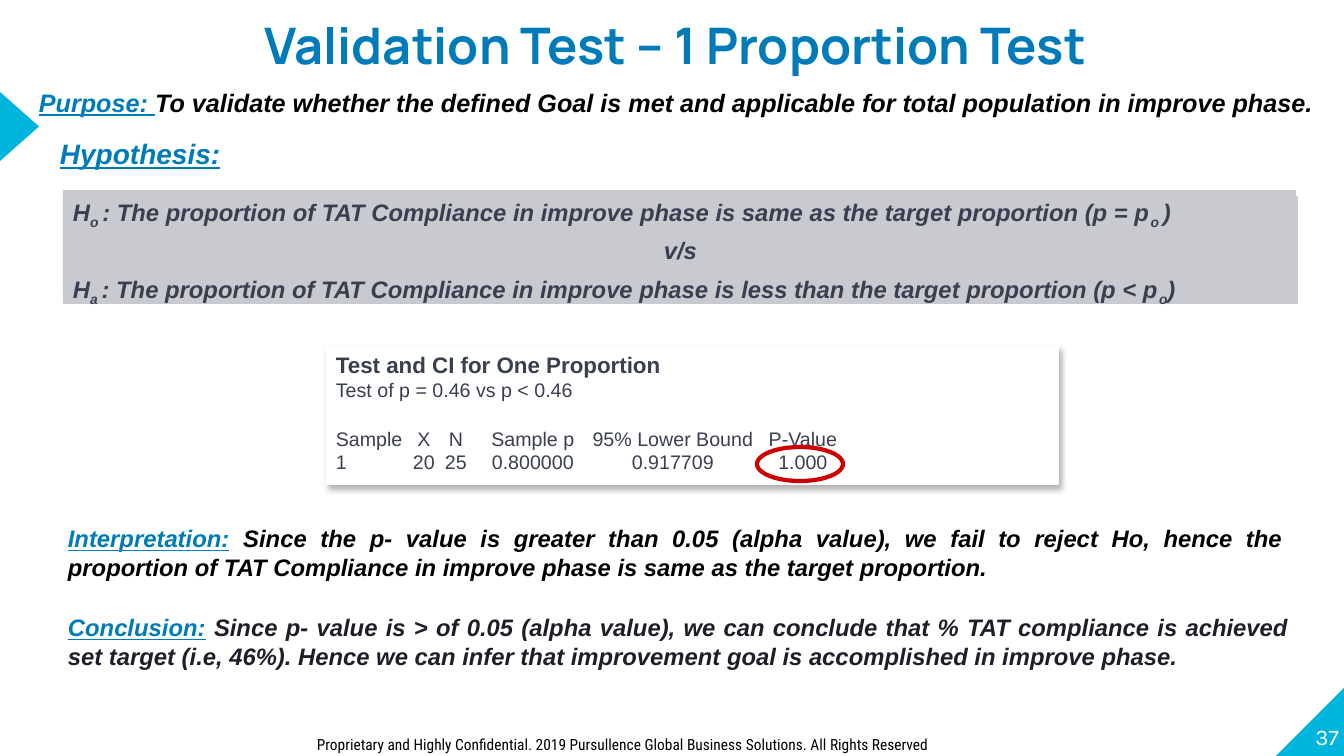
from lxml import etree
from pptx import Presentation
from pptx.dml.color import RGBColor
from pptx.enum.shapes import MSO_SHAPE
from pptx.enum.text import MSO_ANCHOR, MSO_AUTO_SIZE, PP_ALIGN
from pptx.oxml.ns import qn
from pptx.util import Emu, Pt

LEFT, CENTER, RIGHT, JUSTIFY = PP_ALIGN.LEFT, PP_ALIGN.CENTER, PP_ALIGN.RIGHT, PP_ALIGN.JUSTIFY
TOP, BOTTOM = MSO_ANCHOR.TOP, MSO_ANCHOR.BOTTOM
RECT, OVAL = MSO_SHAPE.RECTANGLE, MSO_SHAPE.OVAL
TRIANGLE, CORNER = MSO_SHAPE.ISOSCELES_TRIANGLE, MSO_SHAPE.RIGHT_TRIANGLE

PX = 914400 / 100.8
COLORS = {"cyan": "00B5DD", "blue": "007BB9", "black": "000000", "white": "FFFFFF",
          "slate": "3A3F50", "ink": "1D1F28", "panel": "C8CAD0", "red": "CC0000"}

TITLE = "Validation Test – 1 Proportion Test"
FOOTER = ("Proprietary and Highly Confidential. 2019 Pursullence Global Business "
          "Solutions. All Rights Reserved")
PAGE = "37"

# heading, body, body colour, size, alignment, box
STATEMENTS = [
    ("Purpose: ", "To validate whether the defined Goal is met and applicable for total "
     "population in improve phase.", "black", 18, LEFT, (29, 82, 1315, 40)),
    ("Hypothesis:", "", "black", 20, LEFT, (50, 132, 551, 44)),
    ("Interpretation:", " Since the p- value is greater than 0.05 (alpha value), we fail to "
     "reject Ho, hence the proportion of TAT Compliance in improve phase is same as the "
     "target proportion.", "black", 17, JUSTIFY, (58, 519, 1235, 68)),
    ("Conclusion:", " Since p- value is > of 0.05 (alpha value), we can conclude that % TAT "
     "compliance is achieved set target (i.e, 46%). Hence we can infer that improvement goal "
     "is accomplished in improve phase.", "ink", 17, JUSTIFY, (58, 608, 1241, 68)),
]

CLAIM = ": The proportion of TAT Compliance in improve phase is "
# each line is a list of (text, is subscript)
HYPOTHESES = [
    (LEFT, [("H", False), ("o ", True), (CLAIM + "same as the target proportion (p = p", False),
            ("o ", True), (")", False)]),
    (CENTER, [("v/s", False)]),
    (LEFT, [("H", False), ("a ", True), (CLAIM + "less than the target proportion (p < p", False),
            ("o", True), (")", False)]),
]

RESULT_HEAD = "Test and CI for One Proportion"
RESULT_TEST = "Test of p = 0.46 vs p < 0.46"
RESULT_ROWS = [
    ("Sample", "X", "N", "Sample p", "95% Lower Bound", "P-Value"),
    ("1", "20", "25", "0.800000", "0.917709", "1.000"),
]
RESULT_TABS = [88, 120, 197, 337, 467]  # column centres, from the text's left edge


def px(n):
    return Emu(round(n * PX))


def rgb(name):
    return RGBColor.from_string(COLORS[name])


def add_run(p, text, size=17, font="Arial", color="slate", bold=False, italic=False,
            underline=False, subscript=False):
    r = p.add_run()
    r.text = text
    f = r.font
    f.size, f.name, f.bold, f.italic, f.underline = Pt(size), font, bold, italic, underline
    f.color.rgb = rgb(color)
    if subscript:
        r._r.get_or_add_rPr().set("baseline", "-25000")


def add_shape(kind, box, fill=None, line=None):
    sp = s.shapes.add_shape(kind, *map(px, box))
    sp.shadow.inherit = False
    if fill:
        sp.fill.solid()
        sp.fill.fore_color.rgb = rgb(fill)
    else:
        sp.fill.background()
    if line:
        sp.line.color.rgb = rgb(line)
        sp.line.width = Pt(3)
    else:
        sp.line.fill.background()
    return sp


def frame(sp, anchor=TOP, inset=True):
    """Set wrapping, anchor and margins, and return the text frame."""
    tf = sp.text_frame
    tf.word_wrap, tf.auto_size, tf.vertical_anchor = True, MSO_AUTO_SIZE.NONE, anchor
    if not inset:
        tf.margin_left = tf.margin_right = tf.margin_top = tf.margin_bottom = 0
    return tf


def next_paragraph(tf, align=LEFT):
    p = tf.paragraphs[0] if not tf.paragraphs[0].runs else tf.add_paragraph()
    p.alignment = align
    return p


def add_text(box, anchor=TOP, inset=True):
    return frame(s.shapes.add_textbox(*map(px, box)), anchor, inset)


def add_tabs(p, positions):
    tabs = etree.SubElement(p._p.get_or_add_pPr(), qn("a:tabLst"))
    for pos in positions:
        etree.SubElement(tabs, qn("a:tab"), pos=str(px(pos)), algn="ctr")


def add_shadow(sp):
    effects = sp._element.spPr.find(qn("a:effectLst"))
    shadow = etree.SubElement(effects, qn("a:outerShdw"), blurRad=str(Pt(4.5)),
                              dist=str(Pt(2.6)), dir=str(53 * 60000), rotWithShape="0")
    color = etree.SubElement(shadow, qn("a:srgbClr"), val=COLORS["black"])
    etree.SubElement(color, qn("a:alpha"), val="30000")


prs = Presentation()
prs.slide_width, prs.slide_height = px(1344), px(756)
s = prs.slides.add_slide(prs.slide_layouts[5])

# Corner, side marker, page number and footer
corner = add_shape(CORNER, (1276, 688, 68, 68), "cyan")
corner._element.spPr.get_or_add_xfrm().set("flipH", "1")
add_shape(TRIANGLE, (-15, 107, 69, 39), "cyan").rotation = 90
p = next_paragraph(add_text((1271, 681, 68, 69), BOTTOM, inset=False), RIGHT)
add_run(p, PAGE, size=16, font="Karla", color="white")
p = next_paragraph(add_text((307, 730, 858, 29)))
add_run(p, FOOTER, size=11, font="Roboto Condensed", color="black")

# Title
title = s.shapes.title
title.left, title.top, title.width, title.height = map(px, (186, -16, 979, 77))
p = next_paragraph(frame(title, inset=False), CENTER)
p.line_spacing = 1.5
add_run(p, TITLE, size=36, font="Manrope", color="blue", bold=True)

# Headed statements
for heading, body, color, size, align, box in STATEMENTS:
    p = next_paragraph(add_text(box), align)
    add_run(p, heading, size=size, color="blue", bold=True, italic=True, underline=True)
    if body:
        add_run(p, body, size=size, color=color, bold=True, italic=True)

# Hypotheses panel
add_shape(RECT, (63, 190, 1233, 103), "panel")
tf = frame(add_shape(RECT, (63, 196, 1235, 108), "panel"))
for i, (align, parts) in enumerate(HYPOTHESES):
    p = next_paragraph(tf, align)
    p.line_spacing = 0.8
    if i:
        p.space_before = Pt(10)
    for text, subscript in parts:
        add_run(p, text, bold=True, italic=True, subscript=subscript)

# Test result
result = add_shape(RECT, (326, 346, 733, 139), "white")
add_shadow(result)
tf = frame(result)
add_run(next_paragraph(tf), RESULT_HEAD, size=16, bold=True)
add_run(next_paragraph(tf), RESULT_TEST, size=14)
for i, row in enumerate(RESULT_ROWS):
    p = next_paragraph(tf)
    if i == 0:
        p.space_before = Pt(18)
    add_tabs(p, RESULT_TABS)
    add_run(p, "\t".join(row), size=14)
add_shape(OVAL, (757, 447, 86, 34), line="red")

prs.save("out.pptx")
